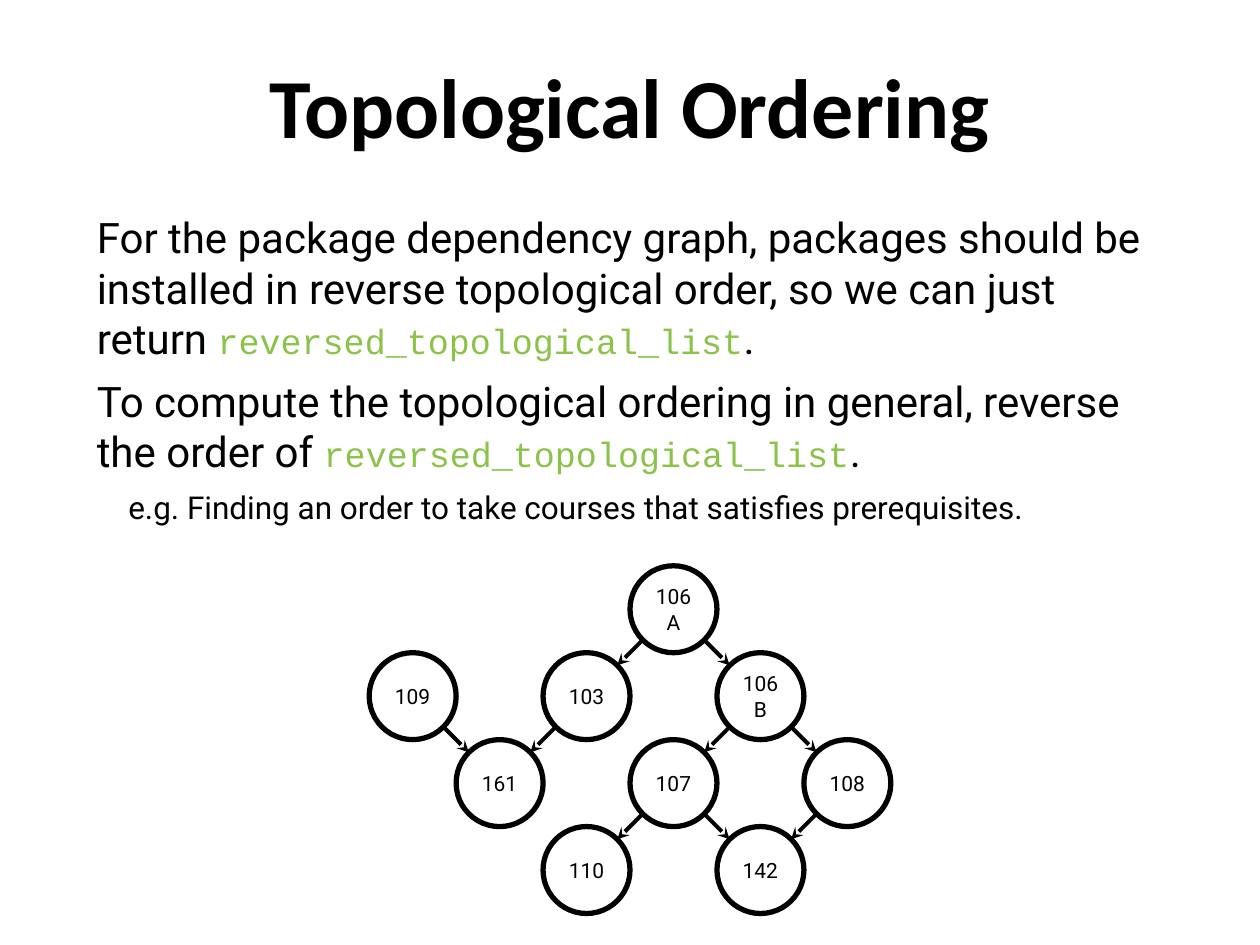
from math import sqrt

from lxml.etree import SubElement
from pptx import Presentation
from pptx.dml.color import RGBColor
from pptx.enum.shapes import MSO_CONNECTOR, MSO_SHAPE
from pptx.enum.text import MSO_ANCHOR, PP_ALIGN
from pptx.oxml.ns import qn
from pptx.util import Inches, Pt

BLACK = RGBColor(0x00, 0x00, 0x00)
GREEN = RGBColor(0x8B, 0xC3, 0x4A)

# Text formats
TITLE = dict(name="Calibri", size=Pt(48), bold=True)
BODY = dict(name="Roboto", size=Pt(24))
CODE = dict(name="Courier New", size=Pt(20))
NOTE = dict(name="Roboto", size=Pt(18))
LABEL = dict(name="Roboto", size=Pt(12))

# Graph grid in inches: one cell per circle
LEFT, TOP, CELL = 2.93, 4.49, 0.69
COURSES = {  # name: (column, row)
    "106A": (3, 0),
    "109": (0, 1), "103": (2, 1), "106B": (4, 1),
    "161": (1, 2), "107": (3, 2), "108": (5, 2),
    "110": (2, 3), "142": (4, 3),
}
PREREQUISITES = [
    ("106A", "103"), ("106A", "106B"), ("103", "161"), ("109", "161"),
    ("106B", "107"), ("106B", "108"), ("107", "110"), ("107", "142"),
    ("108", "142"),
]


class Deck:
    def __init__(self):
        self.prs = Presentation()
        self.prs.slide_width, self.prs.slide_height = Inches(10), Inches(7.5)
        self.s = self.prs.slides.add_slide(self.prs.slide_layouts[6])

    def add_runs(self, p, runs, align=PP_ALIGN.LEFT):
        p.alignment = align
        for text, style, color in runs:
            r = p.add_run()
            r.text = text
            for key, value in style.items():
                setattr(r.font, key, value)
            r.font.color.rgb = color

    def frame(self, sp, anchor):
        tf = sp.text_frame
        tf.word_wrap = True
        tf.vertical_anchor = anchor
        for side in ("left", "top", "right", "bottom"):
            setattr(tf, f"margin_{side}", Inches(0.1))
        return tf

    def text(self, x, y, w, h, paragraphs, align=PP_ALIGN.LEFT):
        """Place a text box; each paragraph is (indent, runs)."""
        sp = self.s.shapes.add_textbox(*map(Inches, (x, y, w, h)))
        tf = self.frame(sp, MSO_ANCHOR.TOP)
        for i, (indent, runs) in enumerate(paragraphs):
            p = tf.add_paragraph() if i else tf.paragraphs[0]
            if i:
                p.space_before = Pt(7)
            p._p.get_or_add_pPr().set("marL", str(Inches(indent)))
            self.add_runs(p, runs, align)

    def node(self, name, col, row):
        x, y = LEFT + col * CELL, TOP + row * CELL
        sp = self.s.shapes.add_shape(
            MSO_SHAPE.OVAL, *map(Inches, (x, y, CELL, CELL)))
        sp.shadow.inherit = False
        sp.fill.background()
        sp.line.color.rgb = BLACK
        sp.line.width = Pt(3)
        tf = self.frame(sp, MSO_ANCHOR.MIDDLE)
        self.add_runs(tf.paragraphs[0], [(name, LABEL, BLACK)],
                      PP_ALIGN.CENTER)

    def arrow(self, start, end):
        """Join the facing rims of two diagonally adjacent circles."""
        (c1, r1), (c2, r2) = start, end
        rim = 0.5 / sqrt(2)
        dx, dy = (c2 - c1) * rim, (r2 - r1) * rim
        x1, y1 = c1 + 0.5 + dx, r1 + 0.5 + dy
        x2, y2 = c2 + 0.5 - dx, r2 + 0.5 - dy
        line = self.s.shapes.add_connector(
            MSO_CONNECTOR.STRAIGHT,
            Inches(LEFT + x1 * CELL), Inches(TOP + y1 * CELL),
            Inches(LEFT + x2 * CELL), Inches(TOP + y2 * CELL))
        line.line.color.rgb = BLACK
        line.line.width = Pt(2.25)
        SubElement(line.line._get_or_add_ln(), qn("a:tailEnd"), type="stealth")
        SubElement(line._element.spPr, qn("a:effectLst"))


def main():
    deck = Deck()

    # Title
    deck.text(0, 0.33, 10, 1.25,
              [(0, [("Topological Ordering", TITLE, BLACK)])],
              PP_ALIGN.CENTER)

    # Explanation
    listing = [("reversed_topological_list", CODE, GREEN), (".", BODY, BLACK)]
    deck.text(0.67, 1.58, 8.67, 5.92, [
        (0, [("For the package dependency graph, packages should be installed "
              "in reverse topological order, so we can just return ",
              BODY, BLACK)] + listing),
        (0, [("To compute the topological ordering in general, reverse the "
              "order of ", BODY, BLACK)] + listing),
        (0.25, [("e.g. Finding an order to take courses that satisfies "
                 "prerequisites.", NOTE, BLACK)]),
    ])

    # Course graph
    for name, (col, row) in COURSES.items():
        deck.node(name, col, row)
    for before, after in PREREQUISITES:
        deck.arrow(COURSES[before], COURSES[after])

    deck.prs.save("out.pptx")


if __name__ == "__main__":
    main()
